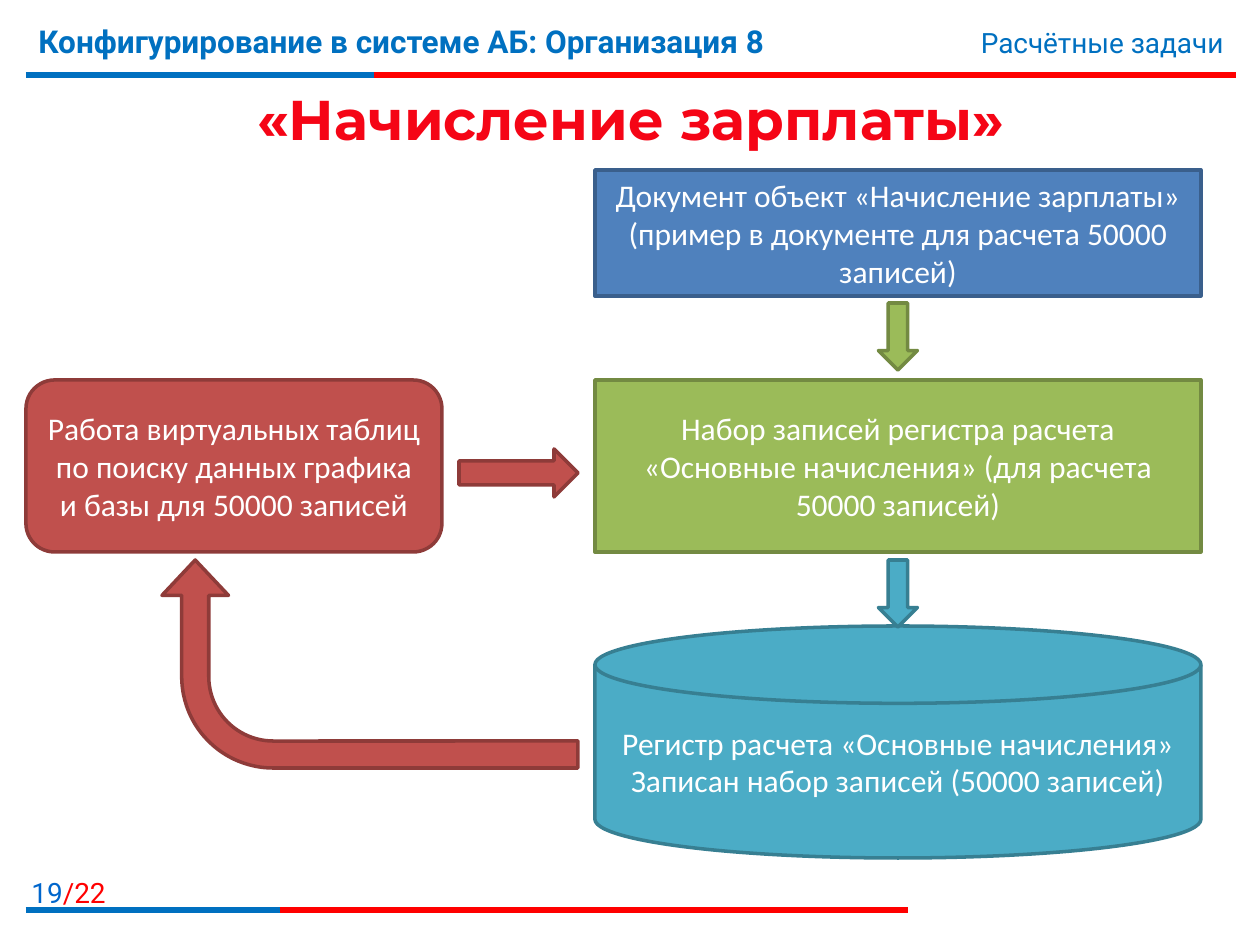
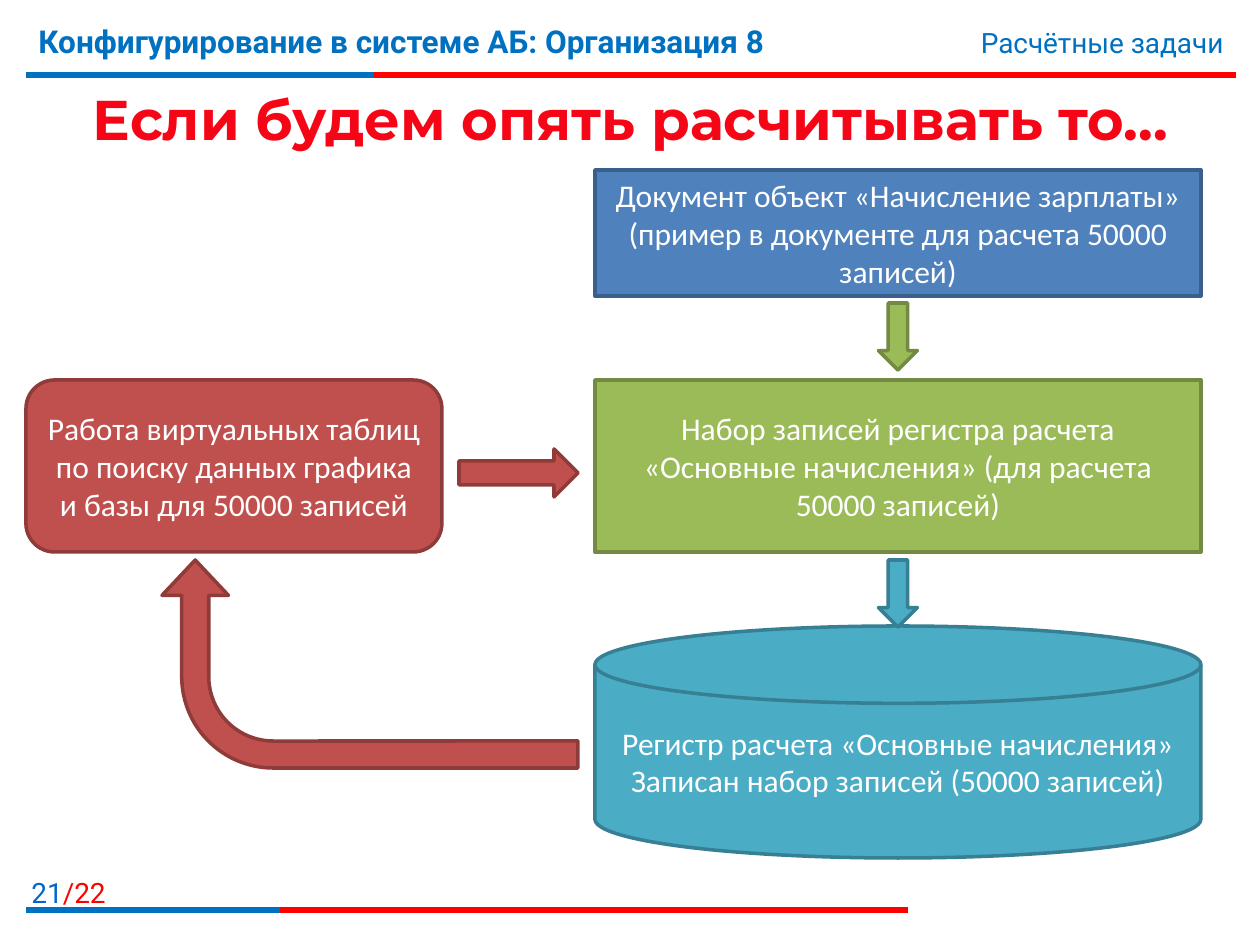
from lxml import etree
from pptx import Presentation
from pptx import util as u
from pptx.dml.color import RGBColor
from pptx.enum import shapes, text
from pptx.oxml import ns

PX = 914400 / 126
BLUE, RED, NUMBER_BLUE, TITLE_RED, WHITE = "0070C0", "FF0000", "0066CC", "F50516", "FFFFFF"
DOCUMENT = ("4F81BD", "3A5F8C")
RECORDS = ("9BBB59", "738A42")
REGISTER = ("4BACC6", "377F92")
TABLES = ("C0504D", "8E3B39")
LEFT, CENTER, RIGHT = text.PP_ALIGN.LEFT, text.PP_ALIGN.CENTER, text.PP_ALIGN.RIGHT
SHAPE = shapes.MSO_SHAPE
TOTAL = 22
SLIDES = [(19, "«Начисление зарплаты»"), (21, "Если будем опять расчитывать то…")]


def px(*lengths):
    """Turn pixel lengths into EMU."""
    return [u.Emu(round(length * PX)) for length in lengths]


def rgb(code):
    """Turn a hex string into a colour."""
    return RGBColor.from_string(code)


def style(run, size, face, color, bold=False):
    """Set the font of one run."""
    run.font.size, run.font.name, run.font.bold = u.Pt(size), face, bold
    run.font.color.rgb = rgb(color)


def write(frame, words, size, face, color, align, bold=False):
    """Fill a text frame and format every run in it."""
    frame.word_wrap = True
    frame.text = words
    for paragraph in frame.paragraphs:
        paragraph.alignment = align
        for run in paragraph.runs:
            style(run, size, face, color, bold)


def label(slide, box, words, size, color, align, bold=False):
    """Add a Roboto text box and return its first paragraph."""
    frame = slide.shapes.add_textbox(*px(*box)).text_frame
    write(frame, words, size, "Roboto", color, align, bold)
    return frame.paragraphs[0]


def rule(slide, left, top, width, blue_width):
    """Draw a red rule whose first part is blue."""
    for length, color in ((width, RED), (blue_width, BLUE)):
        stroke = slide.shapes.add_connector(
            shapes.MSO_CONNECTOR.STRAIGHT, *px(left, top, left + length, top))
        stroke.line.color.rgb = rgb(color)
        stroke.line.width = u.Pt(3)
        etree.SubElement(stroke.element.spPr, ns.qn("a:effectLst"))


def header(slide, left, top, width):
    """Place the course name, the topic and the upper rule."""
    course = label(slide, (left, top, 932, 78),
                   "Конфигурирование в системе АБ: Организация 8", 18, BLUE, LEFT, True)
    course.space_before = u.Pt(3.6)
    label(slide, (left + width - 487, top + 3, 487, 46), "Расчётные задачи", 16, BLUE, RIGHT)
    rule(slide, left, top + 59, width, 348)


def footer(slide, left, top, number):
    """Place the slide count and the lower rule."""
    count = label(slide, (left - 26, top, 118, 40), str(number), 16, NUMBER_BLUE, RIGHT)
    total = count.add_run()
    total.text = f"/{TOTAL}"
    style(total, 16, "Roboto", RED)
    rule(slide, left, top + 41, 882, 254)


def heading(slide, box, words):
    """Move and format the title placeholder."""
    title = slide.shapes.title
    title.left, title.top, title.width, title.height = px(*box)
    write(title.text_frame, words, 32, "Montserrat", TITLE_RED, CENTER, True)
    title.text_frame.vertical_anchor = text.MSO_ANCHOR.MIDDLE


def block(slide, kind, box, colors, words=""):
    """Draw one filled shape of the flow, with its words if any."""
    part = slide.shapes.add_shape(kind, *px(*box))
    part.shadow.inherit = False
    fill, outline = colors
    part.fill.solid()
    part.fill.fore_color.rgb = rgb(fill)
    part.line.color.rgb = rgb(outline)
    part.line.width = u.Pt(2)
    if words:
        write(part.text_frame, words, 18, "Calibri", WHITE, CENTER)
        part.text_frame.vertical_anchor = text.MSO_ANCHOR.MIDDLE
    return part


def return_arrow(slide, left, top, width, height):
    """Draw the bent arrow that leads from the register back up."""
    shift = (width - height) / 2
    arrow = block(slide, SHAPE.BENT_ARROW,
                  (left + shift, top - shift, height, width), TABLES)
    arrow.rotation = 270
    for index, value in enumerate((0.13, 0.16, 0.17, 0.44)):
        arrow.adjustments[index] = value


def payroll_flow(slide, left, top, width):
    """Lay out the calculation cycle: main column on the right, tables on the left."""
    column_width, tables_width, arrow_width = 606, 416, 39
    column = left + width - column_width
    middle = top + 210
    below = top + 390
    block(slide, SHAPE.RECTANGLE, (column, top, column_width, 126), DOCUMENT,
          "Документ объект «Начисление зарплаты»\n"
          "(пример в документе для расчета 50000 записей)")
    block(slide, SHAPE.RECTANGLE, (column, middle, column_width, 172), RECORDS,
          "Набор записей регистра расчета «Основные начисления» "
          "(для расчета 50000 записей)")
    block(slide, SHAPE.FLOWCHART_MAGNETIC_DISK, (column, top + 456, column_width, 232), REGISTER,
          "Регистр расчета «Основные начисления»\v"
          "Записан набор записей (50000 записей)")
    block(slide, SHAPE.ROUNDED_RECTANGLE, (left, middle, tables_width, 172), TABLES,
          "Работа виртуальных таблиц по поиску данных графика и базы для 50000 записей")
    for arrow_top, colors in ((top + 133, RECORDS), (below, REGISTER)):
        block(slide, SHAPE.DOWN_ARROW,
              (column + (column_width - arrow_width) / 2, arrow_top, arrow_width, 67), colors)
    return_arrow(slide, left + 136, below, 416, 208)
    block(slide, SHAPE.RIGHT_ARROW, (left + 433, middle + 69, 119, 48), TABLES)


def flow_slide(deck, number, title):
    """Build one slide with the shared bands and the payroll flow."""
    slide = deck.slides.add_slide(deck.slide_layouts[5])
    header(slide, 26, 16, 1210)
    footer(slide, 26, 869, number)
    heading(slide, (26, 80, 1210, 76), title)
    payroll_flow(slide, 26, 170, 1175)


def main():
    """Build and save the deck."""
    deck = Presentation()
    deck.slide_width, deck.slide_height = px(1260, 945)
    for number, title in SLIDES:
        flow_slide(deck, number, title)
    deck.save("out.pptx")


if __name__ == "__main__":
    main()
